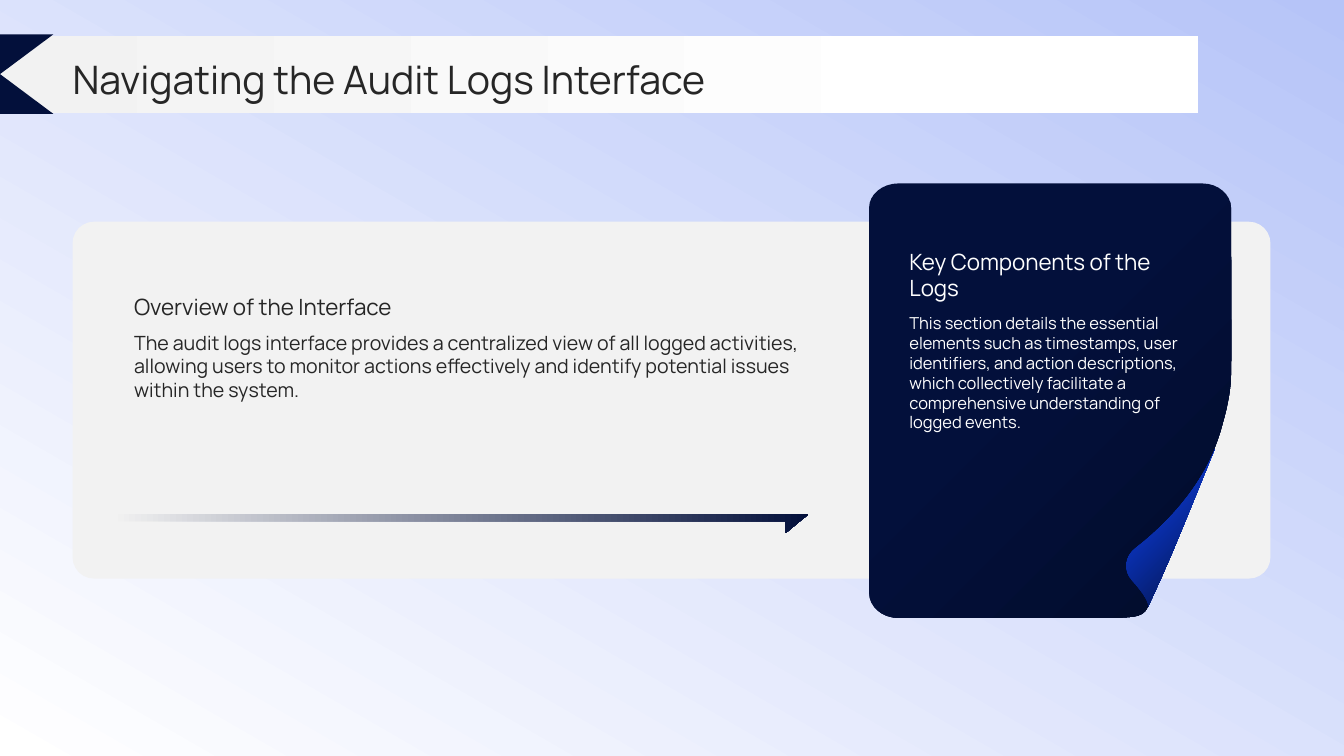
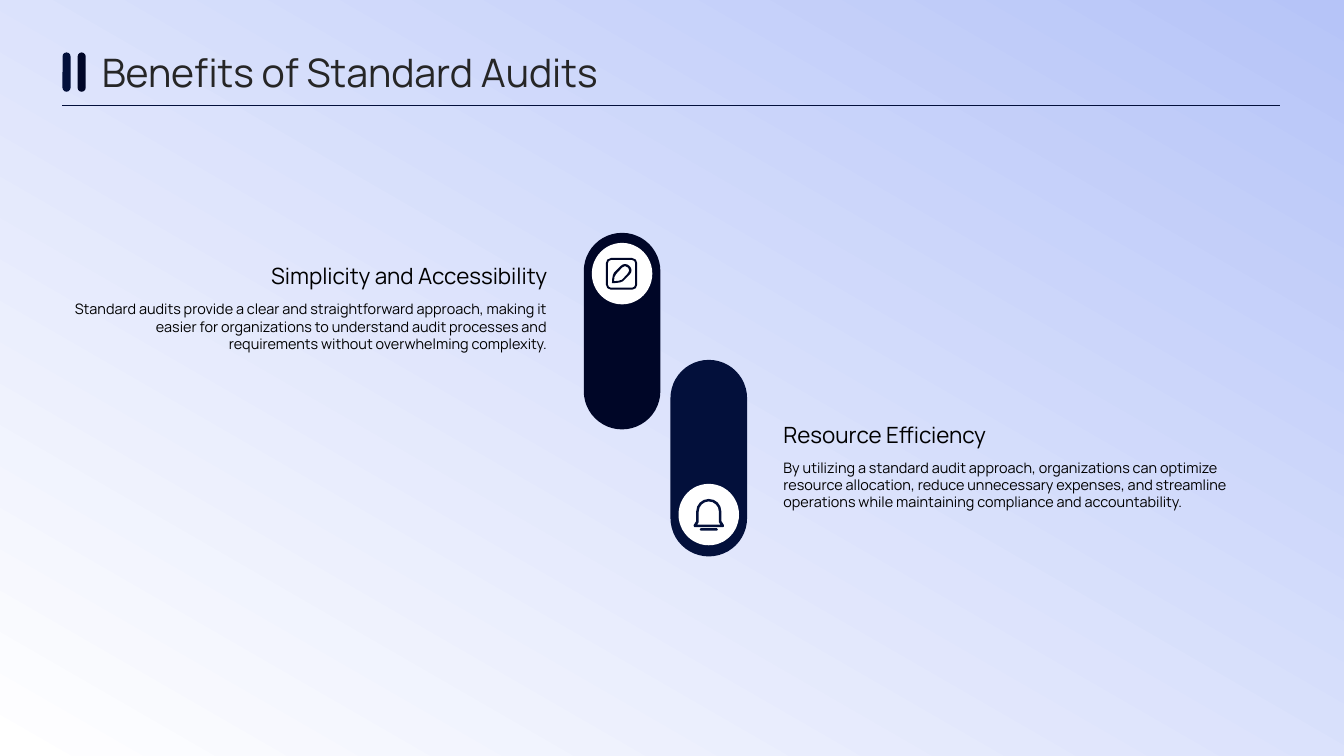
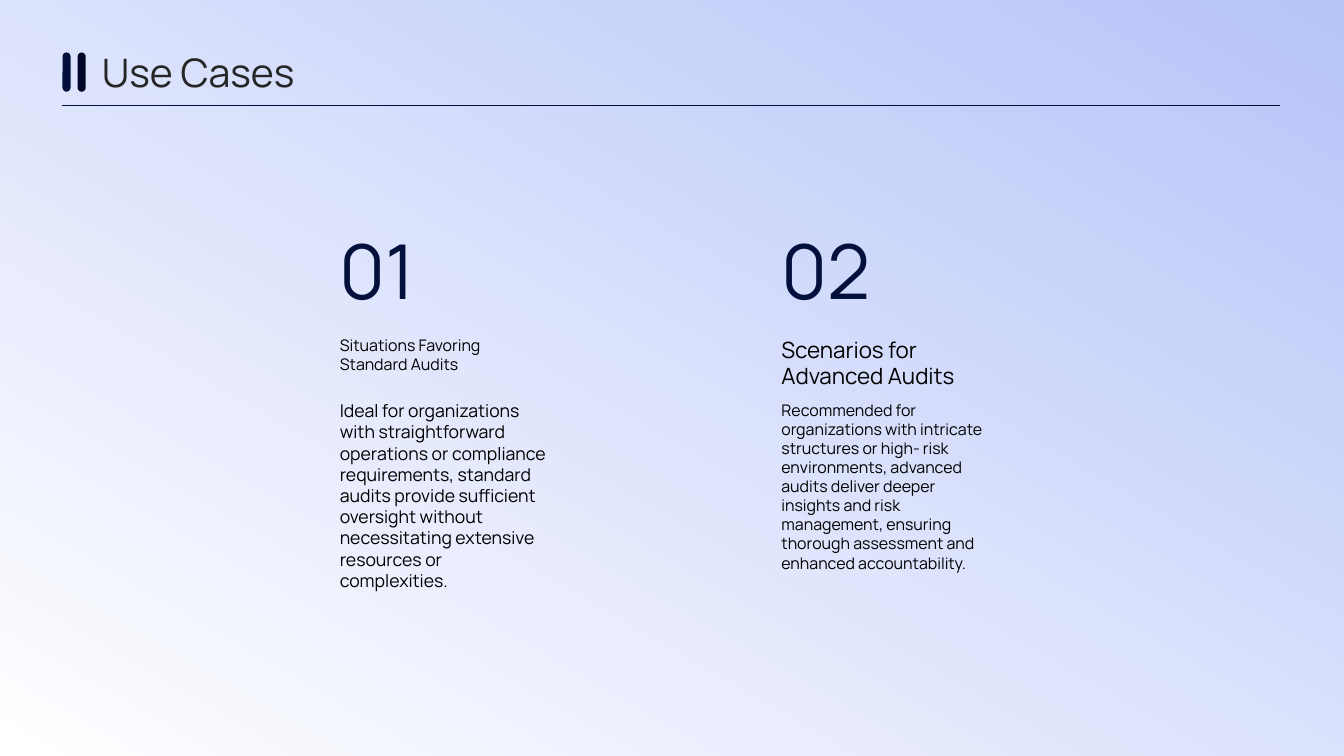
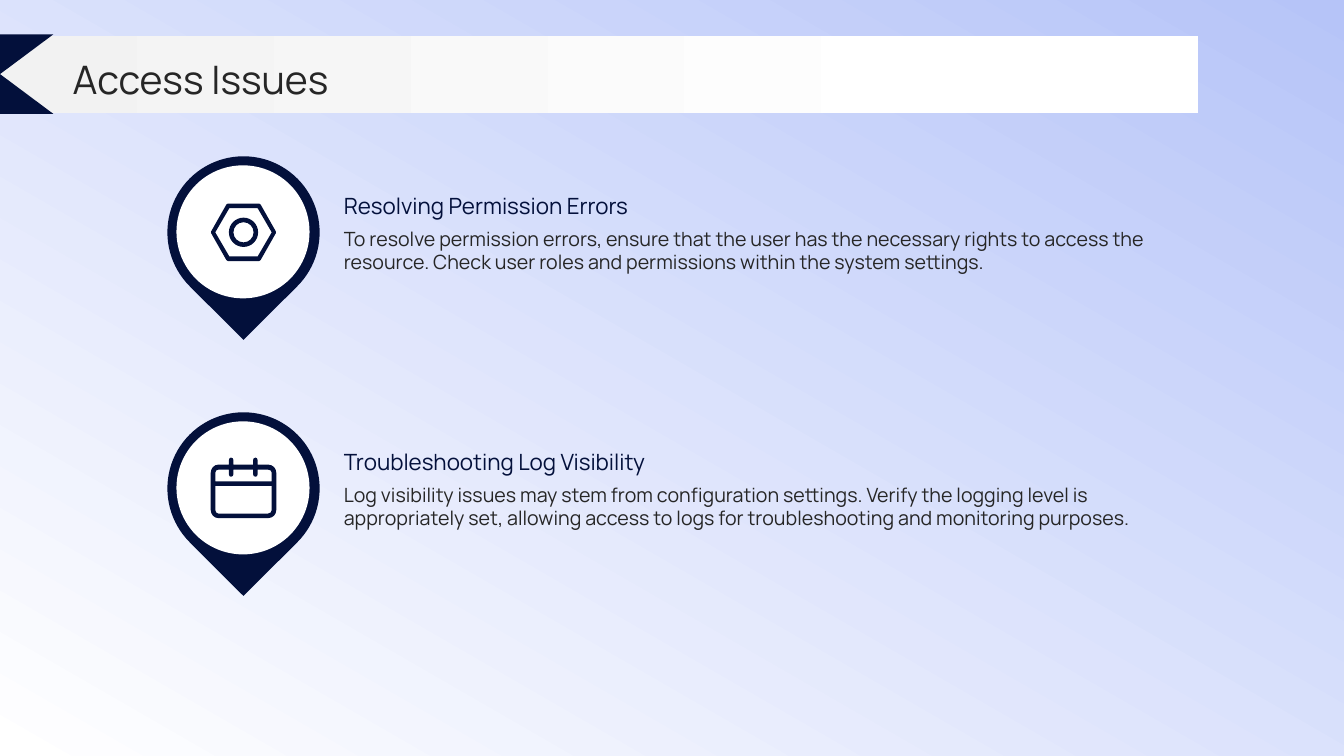
"""Build four slides on audit logs with a shared backdrop, headers and text style."""
from lxml import etree
from pptx import Presentation
from pptx.dml.color import RGBColor
from pptx.enum.shapes import MSO_CONNECTOR, MSO_SHAPE
from pptx.enum.text import MSO_ANCHOR, PP_ALIGN
from pptx.oxml.ns import qn
from pptx.util import Inches, Pt

RECT, ROUND, OVAL = MSO_SHAPE.RECTANGLE, MSO_SHAPE.ROUNDED_RECTANGLE, MSO_SHAPE.OVAL
DROP, NOTCH = MSO_SHAPE.TEAR, MSO_SHAPE.FLOWCHART_COLLATE
LINE = MSO_CONNECTOR.STRAIGHT
TOP, MID, BASE = MSO_ANCHOR.TOP, MSO_ANCHOR.MIDDLE, MSO_ANCHOR.BOTTOM
LEFT, RIGHT = PP_ALIGN.LEFT, PP_ALIGN.RIGHT

NAVY = RGBColor(0x03, 0x10, 0x3B)
DEEP = RGBColor(0x02, 0x0C, 0x2C)
INK = RGBColor(0x00, 0x06, 0x27)
BLUE = RGBColor(0x0C, 0x3E, 0xE6)
SKY = RGBColor(0xB6, 0xC4, 0xF8)
PALE = RGBColor(0xF2, 0xF2, 0xF2)
WHITE = RGBColor(0xFF, 0xFF, 0xFF)
BLACK = RGBColor(0x00, 0x00, 0x00)
GREY = RGBColor(0x26, 0x26, 0x26)

FONT = "Manrope"
WIDE, HIGH = 13.33, 7.5
EDGE = 0.72
UNIT = 0.01

OVERVIEW = (
    "Overview of the Interface",
    "The audit logs interface provides a centralized view of all logged activities, "
    "allowing users to monitor actions effectively and identify potential issues "
    "within the system.",
)
PARTS = (
    "Key Components of the Logs",
    "This section details the essential elements such as timestamps, user identifiers, "
    "and action descriptions, which collectively facilitate a comprehensive "
    "understanding of logged events.",
)

FOLD = "M 242 376 C 242 376 280 411 276 421 C 297 377 312 339 343 263 C 312 336 242 376 242 376 Z"
PAGE = (
    "M 264 361 C 253 369 251 384 260 394 C 269 404 278 416 276 421 "
    "C 271 431 263 431 215 431 L 29 431 C 13 431 0 420 0 406 L 0 24 "
    "C 0 11 13 0 29 0 L 331 0 C 346 0 359 11 359 24 C 359 63 360 143 359 189 "
    "C 359 206 354 227 351 237 C 336 298 291 340 264 361 Z"
)
ARROW = "M 691 0 L 0 0 L 0 7 L 668 7 L 668 19 Z"
PEN = (
    "M 19 8 C 18 8 17 8.5 16 9.5 L 10 16 C 8.5 17.5 8 20 8 23 "
    "C 11 23 14.5 22.5 16 21.5 L 22 15 C 23.5 13.5 23.5 11 22 9.5 C 21 8.5 20 8 19 8 Z "
    "M 19 6 C 20.5 6 22 6.5 23.5 8 C 26 10.5 26 14 23.5 16.5 L 17 23 "
    "C 15 25 6 25 6 25 C 6 25 6 17 8 14.5 L 14.5 8 C 16 6.5 17.5 6 19 6 Z "
    "M 5 2 C 3.5 2 2 3.5 2 5 L 2 26.5 C 2 28 3.5 29.5 5 29.5 L 26 29.5 "
    "C 27.5 29.5 29 28 29 26.5 L 29 5 C 29 3.5 27.5 2 26 2 Z "
    "M 5 0 L 26 0 C 29 0 31 2.5 31 5 L 31 26.5 C 31 29 29 31.5 26 31.5 "
    "L 5 31.5 C 2 31.5 0 29 0 26.5 L 0 5 C 0 2.5 2 0 5 0 Z"
)
BELL = (
    "M 7 29 L 23 29 C 23.5 29 24 29.5 24 30.5 C 24 31 23.5 31.5 23 31.5 L 7 31.5 "
    "C 6.5 31.5 6 31 6 30.5 C 6 29.5 6.5 29 7 29 Z "
    "M 15 2.5 C 9.5 2.5 5 7 5 12.5 L 5 22 C 5 22.5 5 22.5 5 23 L 3.5 25.5 "
    "L 26.5 25.5 L 25 23 C 25 22.5 25 22.5 25 22 L 25 12.5 C 25 7 20.5 2.5 15 2.5 Z "
    "M 15 0 C 22 0 27.5 5.5 27.5 12.5 L 27.5 22 L 30 26 C 30.5 27 30 28 29 28 "
    "L 1 28 C 0 28 0 27 0 26 L 2.5 22 L 2.5 12.5 C 2.5 5.5 8 0 15 0 Z"
)
NUT = (
    "M 32.5 18.5 C 27 18.5 22.5 23 22.5 28.5 C 22.5 34 27 38.5 32.5 38.5 "
    "C 38 38.5 42.5 34 42.5 28.5 C 42.5 23 38 18.5 32.5 18.5 Z "
    "M 32.5 14 C 40.5 14 47 20.5 47 28.5 C 47 36.5 40.5 43 32.5 43 "
    "C 24.5 43 18 36.5 18 28.5 C 18 20.5 24.5 14 32.5 14 Z "
    "M 18.5 4.5 L 4.5 28.5 L 18.5 52.5 L 46.5 52.5 L 60.5 28.5 L 46.5 4.5 Z "
    "M 17 0 L 48 0 C 48.5 0 49 0.5 49.5 1 L 64.5 27.5 C 65 28 65 29 64.5 29.5 "
    "L 49.5 56 C 49 56.5 48.5 57 48 57 L 17 57 C 16.5 57 16 56.5 15.5 56 "
    "L 0.5 29.5 C 0 29 0 28 0.5 27.5 L 15.5 1 C 16 0.5 16.5 0 17 0 Z"
)
DATE = (
    "M 4.5 28 L 4.5 52 C 4.5 54 6 55.5 7.5 55.5 L 57 55.5 C 59 55.5 60.5 54 60.5 52 "
    "L 60.5 28 Z "
    "M 7.5 12 C 6 12 4.5 13 4.5 15 L 4.5 23.5 L 60.5 23.5 L 60.5 15 "
    "C 60.5 13 59 12 57 12 L 46.5 12 L 46.5 16.5 C 46.5 18 45.5 19 44.5 19 "
    "C 43 19 42 18 42 16.5 L 42 12 L 22.5 12 L 22.5 16.5 C 22.5 18 21.5 19 20 19 "
    "C 19 19 18 18 18 16.5 L 18 12 Z "
    "M 20 0 C 21.5 0 22.5 1 22.5 2.5 L 22.5 7 L 42 7 L 42 2.5 C 42 1 43 0 44.5 0 "
    "C 45.5 0 46.5 1 46.5 2.5 L 46.5 7 L 57 7 C 61.5 7 65 10.5 65 15 L 65 52 "
    "C 65 56.5 61.5 60 57 60 L 7.5 60 C 3.5 60 0 56.5 0 52 L 0 15 "
    "C 0 10.5 3.5 7 7.5 7 L 18 7 L 18 2.5 C 18 1 19 0 20 0 Z"
)

GAINS = [
    dict(
        head="Simplicity and Accessibility",
        body="Standard audits provide a clear and straightforward approach, making it "
        "easier for organizations to understand audit processes and requirements "
        "without overwhelming complexity.",
        left=EDGE, top=2.26, width=4.71, align=RIGHT,
        pill=(5.79, 2.31), disc=0.1, icon=(PEN, 0.14, 0.15), color=INK,
    ),
    dict(
        head="Resource Efficiency",
        body="By utilizing a standard audit approach, organizations can optimize resource "
        "allocation, reduce unnecessary expenses, and streamline operations while "
        "maintaining compliance and accountability.",
        left=7.77, top=3.83, width=4.83, align=LEFT,
        pill=(6.65, 3.57), disc=1.23, icon=(BELL, 0.15, 0.15), color=NAVY,
    ),
]
CASES = [
    ("01", "Situations Favoring Standard Audits", 11.4,
     "Ideal for organizations with straightforward operations or compliance "
     "requirements, standard audits provide sufficient oversight without "
     "necessitating extensive resources or complexities.", 12.6),
    ("02", "Scenarios for Advanced Audits", 16,
     "Recommended for organizations with intricate structures or high- risk "
     "environments, advanced audits deliver deeper insights and risk management, "
     "ensuring thorough assessment and enhanced accountability.", 11.4),
]
ISSUES = [
    ("Resolving Permission Errors",
     "To resolve permission errors, ensure that the user has the necessary rights to "
     "access the resource. Check user roles and permissions within the system settings.",
     NUT, 0.47),
    ("Troubleshooting Log Visibility",
     "Log visibility issues may stem from configuration settings. Verify the logging "
     "level is appropriately set, allowing access to logs for troubleshooting and "
     "monitoring purposes.", DATE, 0.45),
]


def paint(item, fill):
    """Fill with one colour, or with (start, colour, end, colour, angle)."""
    item.shadow.inherit = False
    item.line.fill.background()
    if isinstance(fill, RGBColor):
        item.fill.solid()
        item.fill.fore_color.rgb = fill
        return
    *ends, angle = fill
    item.fill.gradient()
    item.fill.gradient_angle = -angle % 360
    for stop, place, color in zip(item.fill.gradient_stops, ends[::2], ends[1::2]):
        stop.position = place / 100
        stop.color.rgb = color


def shape(slide, kind, left, top, width, height, fill, curve=None):
    """Add a preset shape without outline."""
    item = slide.shapes.add_shape(
        kind, Inches(left), Inches(top), Inches(width), Inches(height))
    paint(item, fill)
    if curve is not None:
        item.adjustments[0] = curve
    return item


def text(slide, words, left, top, width, height, size, color, anchor=TOP, align=LEFT):
    """Add a text box without margins."""
    frame = slide.shapes.add_textbox(
        Inches(left), Inches(top), Inches(width), Inches(height)).text_frame
    frame.word_wrap = True
    frame.vertical_anchor = anchor
    frame.margin_left = frame.margin_right = frame.margin_top = frame.margin_bottom = 0
    para = frame.paragraphs[0]
    para.alignment = align
    run = para.add_run()
    run.text = words
    run.font.name, run.font.size, run.font.color.rgb = FONT, Pt(size), color


def bend(item, kinds):
    """Join each three line steps of a curve into one cubic step."""
    steps = iter(list(item._element.iter(qn("a:lnTo"))))
    for kind in kinds:
        step = next(steps)
        if kind == "C":
            step.tag = qn("a:cubicBezTo")
            for more in (next(steps), next(steps)):
                step.append(more[0])
                more.getparent().remove(more)


def draw(slide, route, left, top, fill):
    """Add a closed freeform whose route is in hundredths of an inch."""
    pen, kinds = None, []
    for part in route.replace("Z", "").split("M")[1:]:
        words = part.split()
        kinds += [word for word in words if word in "LC"]
        spots = [Inches(float(word) * UNIT) for word in words if word not in "LC"]
        first, *rest = zip(spots[::2], spots[1::2])
        if pen is None:
            pen = slide.shapes.build_freeform(*first, scale=1.0)
        else:
            pen.move_to(*first)
        pen.add_line_segments(rest, close=False)
        pen._add_close()
    item = pen.convert_to_shape(Inches(left), Inches(top))
    bend(item, kinds)
    paint(item, fill)


def start(deck):
    """Add a slide with the shared backdrop."""
    slide = deck.slides.add_slide(deck.slide_layouts[6])
    back = shape(slide, RECT, 0, 0, WIDE, HIGH, (0, SKY, 100, WHITE, 60))
    back._element.spPr.xfrm.set("flipH", "1")
    return slide


def banner(slide, title):
    """Add the white title band with its notch."""
    shape(slide, RECT, 0, 0.36, 11.88, 0.76, (0, PALE, 80, WHITE, 0))
    shape(slide, NOTCH, -0.53, 0.34, 1.06, 0.79, NAVY)
    text(slide, title, EDGE, 0.53, 11.88, 0.51, 28, GREY, MID)


def ruled(slide, title):
    """Add the title with two bars and a rule."""
    text(slide, title, 1.01, 0.46, 10.97, 0.51, 28, GREY, MID)
    for i, color in enumerate((NAVY, INK)):
        shape(slide, ROUND, 0.62 + 0.15 * i, 0.52, 0.08, 0.39, color, 0.5)
    rule = slide.shapes.add_connector(
        LINE, Inches(0.62), Inches(1.05), Inches(12.7), Inches(1.05))
    rule.line.color.rgb = NAVY
    rule.line.width = Pt(0.5)
    etree.SubElement(rule._element.spPr, qn("a:effectLst"))


def logs(deck):
    slide = start(deck)
    shape(slide, ROUND, EDGE, 2.2, 11.88, 3.54, PALE, 0.06)
    draw(slide, FOLD, 8.62, 1.82, (20, BLUE, 100, NAVY, 45))
    draw(slide, PAGE, 8.62, 1.82, (40, NAVY, 100, DEEP, 45))
    draw(slide, ARROW, 1.11, 5.1, (0, PALE, 100, NAVY, 0))
    head, body = OVERVIEW
    text(slide, body, 1.33, 3.28, 6.69, 1.48, 14, GREY)
    text(slide, head, 1.33, 2.77, 6.69, 0.4, 16, GREY, BASE)
    head, body = PARTS
    text(slide, body, 9.02, 3.11, 2.76, 1.67, 11.8, WHITE)
    text(slide, head, 9.02, 2.02, 2.76, 0.97, 16, WHITE, BASE)
    banner(slide, "Navigating the Audit Logs Interface")


def gains(deck):
    slide = start(deck)
    for gain in GAINS:
        left, top = gain["pill"]
        color, align = gain["color"], gain["align"]
        shape(slide, ROUND, left, top, 0.76, 1.95, color, 0.5)
        left, top = left + 0.08, top + gain["disc"]
        shape(slide, OVAL, left, top, 0.6, 0.61, WHITE)
        route, right, down = gain["icon"]
        draw(slide, route, left + right, top + down, color)
        left, top, width = gain["left"], gain["top"], gain["width"]
        text(slide, gain["head"], left, top, width, 0.61, 16, BLACK, BASE, align)
        text(slide, gain["body"], left, top + 0.72, width, 0.86, 10.3, BLACK, TOP, align)
    ruled(slide, "Benefits of Standard Audits")


def cases(deck):
    slide = start(deck)
    for i, (mark, head, large, body, small) in enumerate(CASES):
        left = 3.37 + 4.38 * i
        text(slide, head, left, 3.33, 2.09, 0.58, large, BLACK)
        text(slide, body, left, 3.97, 2.09, 2.4, small, BLACK)
        text(slide, mark, left, 2.22, 1.53, 0.75, 54, NAVY)
    ruled(slide, "Use Cases")


def issues(deck):
    slide = start(deck)
    for i, (head, body, route, down) in enumerate(ISSUES):
        top = 1.55 + 2.54 * i
        shape(slide, DROP, 1.66, top, 1.51, 1.51, NAVY).rotation = 135
        text(slide, body, 3.41, top + 0.7, 8.25, 1.07, 14, GREY)
        text(slide, head, 3.41, top + 0.18, 8.25, 0.44, 16, NAVY, BASE)
        shape(slide, OVAL, 1.75, top + 0.09, 1.32, 1.32, WHITE)
        draw(slide, route, 2.09, top + down, NAVY)
    banner(slide, "Access Issues")


def main():
    deck = Presentation()
    deck.slide_width, deck.slide_height = Inches(WIDE), Inches(HIGH)
    for build in (logs, gains, cases, issues):
        build(deck)
    deck.save("out.pptx")


if __name__ == "__main__":
    main()
